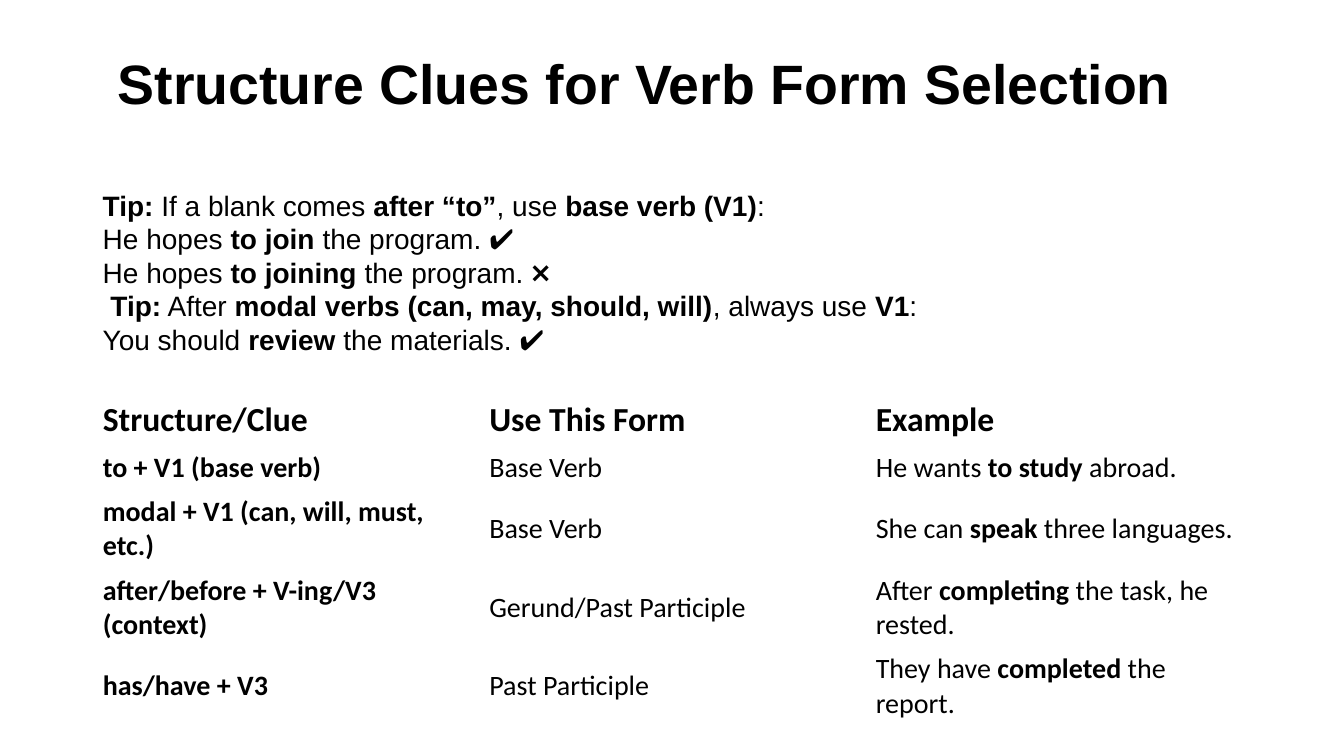
from pptx import Presentation
from pptx.dml.color import RGBColor
from pptx.enum.text import MSO_ANCHOR
from pptx.util import Inches, Pt

COLORS = {"ink": "000000"}
W, H = 13.33, 7.5
LEFT, WIDTH = 0.92, 11.5
TITLE_BOX = (LEFT, 0.4, WIDTH, 1.45)
TIPS_BOX = (LEFT, 1.81, 8.37, 1.78)
TABLE_BOX = (LEFT, 3.91, WIDTH, 3.29)
ROW_HEIGHTS = (0.51, 0.44, 0.78, 0.78, 0.78)

TITLE = "**Structure Clues for Verb Form Selection**"
TIPS = [
    "**Tip:** If a blank comes **after “to”**, use **base verb (V1)**:",
    "He hopes **to join** the program. ✔️\vHe hopes **to joining** the program. ❌",
    " **Tip:** After **modal verbs (can, may, should, will)**, always use **V1**:",
    "You should **review** the materials. ✔️",
]
CLUES = [
    ("**Structure/Clue**", "**Use This Form**", "**Example**"),
    ("**to + V1 (base verb)**", "Base Verb", "He wants **to study** abroad."),
    ("**modal + V1 (can, will, must, etc.)**", "Base Verb",
     "She can **speak** three languages."),
    ("**after/before + V-ing/V3 (context)**", "Gerund/Past Participle",
     "After **completing** the task, he rested."),
    ("**has/have + V3**", "Past Participle", "They have **completed** the report."),
]


def write(p, text, name, size):
    for i, part in enumerate(text.split("**")):
        for j, line in enumerate(part.split("\v")):
            if j:
                p.add_line_break()
            if not line:
                continue
            r = p.add_run()
            r.text = line
            for key, value in {"name": name, "size": Pt(size), "bold": i % 2 == 1}.items():
                setattr(r.font, key, value)
            r.font.color.rgb = RGBColor.from_string(COLORS["ink"])


def add_text(s, box, lines, size, **frame):
    tf = s.shapes.add_textbox(*map(Inches, box)).text_frame
    for key, value in frame.items():
        setattr(tf, key, value)
    for i, line in enumerate(lines):
        p = tf.add_paragraph() if i else tf.paragraphs[0]
        write(p, line, "Arial", size)
    return tf


def add_title(s, box):
    tf = add_text(s, box, [TITLE], 39.6, word_wrap=True, vertical_anchor=MSO_ANCHOR.TOP,
                  margin_left=Inches(0.25), margin_top=Inches(0.16))
    tf.paragraphs[0].line_spacing = 0.9


def add_tips(s, box):
    add_text(s, box, TIPS, 20, word_wrap=False, vertical_anchor=MSO_ANCHOR.MIDDLE)


def add_clues(s, box):
    table = s.shapes.add_table(len(CLUES), len(CLUES[0]), *map(Inches, box)).table
    table.first_row = table.horz_banding = False
    for column in table.columns:
        column.width = Inches(box[2] / len(CLUES[0]))
    for i, (row, height) in enumerate(zip(CLUES, ROW_HEIGHTS)):
        table.rows[i].height = Inches(height)
        for j, text in enumerate(row):
            cell = table.cell(i, j)
            cell.fill.background()
            cell.vertical_anchor = MSO_ANCHOR.MIDDLE
            write(cell.text_frame.paragraphs[0], text, "Calibri", 20 if i else 24)


def main():
    prs = Presentation()
    prs.slide_width, prs.slide_height = Inches(W), Inches(H)
    s = prs.slides.add_slide(prs.slide_layouts[6])
    add_title(s, TITLE_BOX)
    add_clues(s, TABLE_BOX)
    add_tips(s, TIPS_BOX)
    prs.save("out.pptx")


if __name__ == "__main__":
    main()
